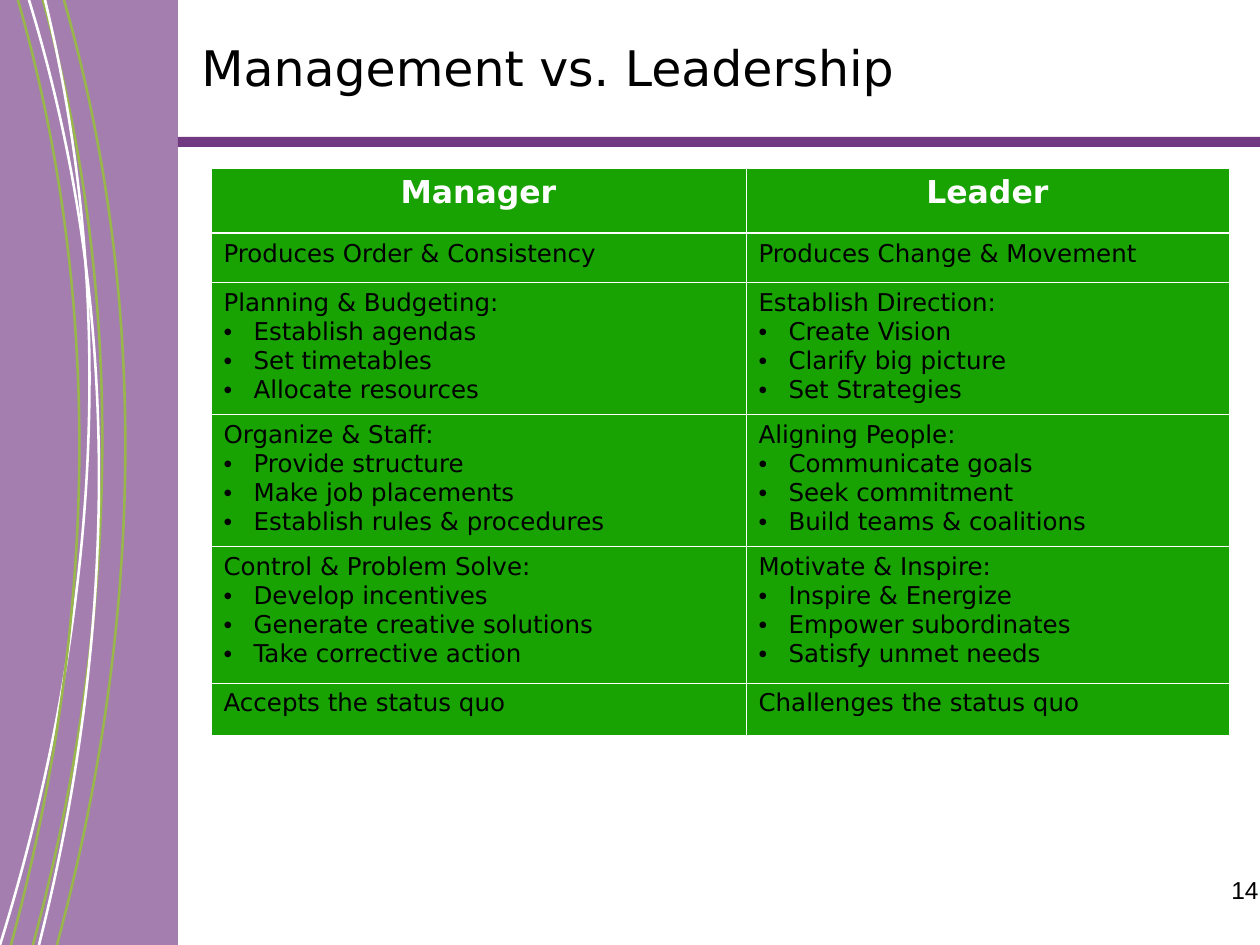
from lxml import etree
from pptx import Presentation
from pptx.dml.color import RGBColor
from pptx.enum.shapes import MSO_SHAPE
from pptx.enum.text import MSO_ANCHOR, PP_ALIGN
from pptx.oxml.ns import qn
from pptx.util import Emu, Pt

RECT = MSO_SHAPE.RECTANGLE
TOP, MIDDLE = MSO_ANCHOR.TOP, MSO_ANCHOR.MIDDLE
LEFT, CENTER, RIGHT = PP_ALIGN.LEFT, PP_ALIGN.CENTER, PP_ALIGN.RIGHT

PURPLE = RGBColor(0x72, 0x39, 0x83)
LIME = RGBColor(0x99, 0xB6, 0x4C)
GREEN = RGBColor(0x18, 0xA3, 0x03)
WHITE = RGBColor(0xFF, 0xFF, 0xFF)
BLACK = RGBColor(0, 0, 0)

SANS = "DejaVu Sans"
SCALE = 914400 / 126
WIDTH, HEIGHT = 1260, 945
BAND = 178
COLS = [535, 483]
ROWS = [65, 49, 132, 132, 137, 52]

CURVES = [
    (LIME, [(43, 0), (145, 363), (98, 704), (33, HEIGHT)]),
    (LIME, [(57, HEIGHT), (122, 704), (168, 363), (64, 0)]),
    (WHITE, [(29, 0), (140, 362), (100, 704), (39, HEIGHT)]),
    (WHITE, [(45, 0), (134, 367), (74, 707), (0, HEIGHT)]),
    (LIME, [(18, 0), (122, 363), (76, 704), (11, HEIGHT)]),
]

CELLS = [
    (["Manager"], ["Leader"]),
    (["Produces Order & Consistency"], ["Produces Change & Movement"]),
    (["Planning & Budgeting:", "Establish agendas", "Set timetables",
      "Allocate resources"],
     ["Establish Direction:", "Create Vision", "Clarify big picture",
      "Set Strategies"]),
    (["Organize & Staff:", "Provide structure", "Make job placements",
      "Establish rules & procedures"],
     ["Aligning People:", "Communicate goals", "Seek commitment",
      "Build teams & coalitions"]),
    (["Control & Problem Solve:", "Develop incentives",
      "Generate creative solutions", "Take corrective action"],
     ["Motivate & Inspire:", "Inspire & Energize", "Empower subordinates",
      "Satisfy unmet needs"]),
    (["Accepts the status quo"], ["Challenges the status quo"]),
]


def px(n):
    return Emu(round(n * SCALE))


def sub(parent, tag, **attrs):
    return etree.SubElement(parent, qn(tag), **attrs)


def paint(parent, color):
    fill = sub(parent, "a:solidFill")
    return sub(fill, "a:srgbClr", val=str(color))


def bullet(para):
    props = para._p.get_or_add_pPr()
    props.set("marL", str(px(30)))
    props.set("indent", str(-px(30)))
    sub(sub(props, "a:buClr"), "a:srgbClr", val=str(BLACK))
    sub(props, "a:buFont", typeface="Arial")
    sub(props, "a:buChar", char="•")


def write(frame, lines, size=14, font=SANS, color=BLACK, bold=False, align=LEFT):
    for i, line in enumerate(lines):
        para = frame.add_paragraph() if i else frame.paragraphs[0]
        if i:
            bullet(para)
        para.alignment = align
        para.space_after = Pt(0.2)
        run = para.add_run()
        run.text = line
        run.font.size = Pt(size)
        run.font.name = font
        run.font.bold = bold
        run.font.color.rgb = color


def label(slide, text, x, y, w, h, anchor=TOP, **style):
    box = slide.shapes.add_textbox(px(x), px(y), px(w), px(h))
    box.text_frame.word_wrap = True
    box.text_frame.vertical_anchor = anchor
    write(box.text_frame, [text], **style)


def block(slide, x, y, w, h, alpha=100):
    shape = slide.shapes.add_shape(RECT, px(x), px(y), px(w), px(h))
    shape.shadow.inherit = False
    shape.line.fill.background()
    shape.fill.solid()
    shape.fill.fore_color.rgb = PURPLE
    if alpha < 100:
        tint = shape._element.spPr.find(".//" + qn("a:srgbClr"))
        sub(tint, "a:alpha", val=str(alpha * 1000))


def curve(slide, color, points):
    start, *rest = [(px(x), px(y)) for x, y in points]
    pen = slide.shapes.build_freeform(*start)
    pen.add_line_segments(rest, close=False)
    shape = pen.convert_to_shape()
    track = shape._element.spPr.find(".//" + qn("a:path"))
    bend = sub(track, "a:cubicBezTo")
    for step in track.findall(qn("a:lnTo")):
        bend.append(step[0])
        track.remove(step)
    shape.shadow.inherit = False
    shape.fill.background()
    shape.line.color.rgb = color
    shape.line.width = Pt(1.47)


def border(cell, head, first):
    props = cell._tc.get_or_add_tcPr()
    for i, side in enumerate("LRTB"):
        thick = (head and side == "B") or (first and side == "T")
        line = etree.Element(qn("a:ln" + side), w=str(Pt(0.75 if thick else 0.23)))
        paint(line, WHITE)
        props.insert(i, line)


def grid(slide, x, y):
    frame = slide.shapes.add_table(
        len(ROWS), len(COLS), px(x), px(y), px(sum(COLS)), px(sum(ROWS)))
    table = frame.table
    table.first_row = table.horz_banding = False
    for col, width in zip(table.columns, COLS):
        col.width = px(width)
    for r, (row, height) in enumerate(zip(table.rows, ROWS)):
        row.height = px(height)
        head = r == 0
        style = dict(size=18, color=WHITE, bold=True, align=CENTER) if head else {}
        for cell, lines in zip(row.cells, CELLS[r]):
            cell.fill.solid()
            cell.fill.fore_color.rgb = GREEN
            border(cell, head, r == 1)
            write(cell.text_frame, lines, **style)


def main():
    deck = Presentation()
    deck.slide_width, deck.slide_height = px(WIDTH), px(HEIGHT)
    slide = deck.slides.add_slide(deck.slide_layouts[6])
    block(slide, BAND, 137, WIDTH - BAND, 10)
    block(slide, 0, 0, BAND, HEIGHT, alpha=65)
    for color, points in CURVES:
        curve(slide, color, points)
    label(slide, "Management vs. Leadership", 189, 4, 1071, 126,
          anchor=MIDDLE, size=28)
    label(slide, "14", 977, 869, 294, 66, font="Arial", align=RIGHT)
    grid(slide, 211, 168)
    deck.save("out.pptx")


if __name__ == "__main__":
    main()
